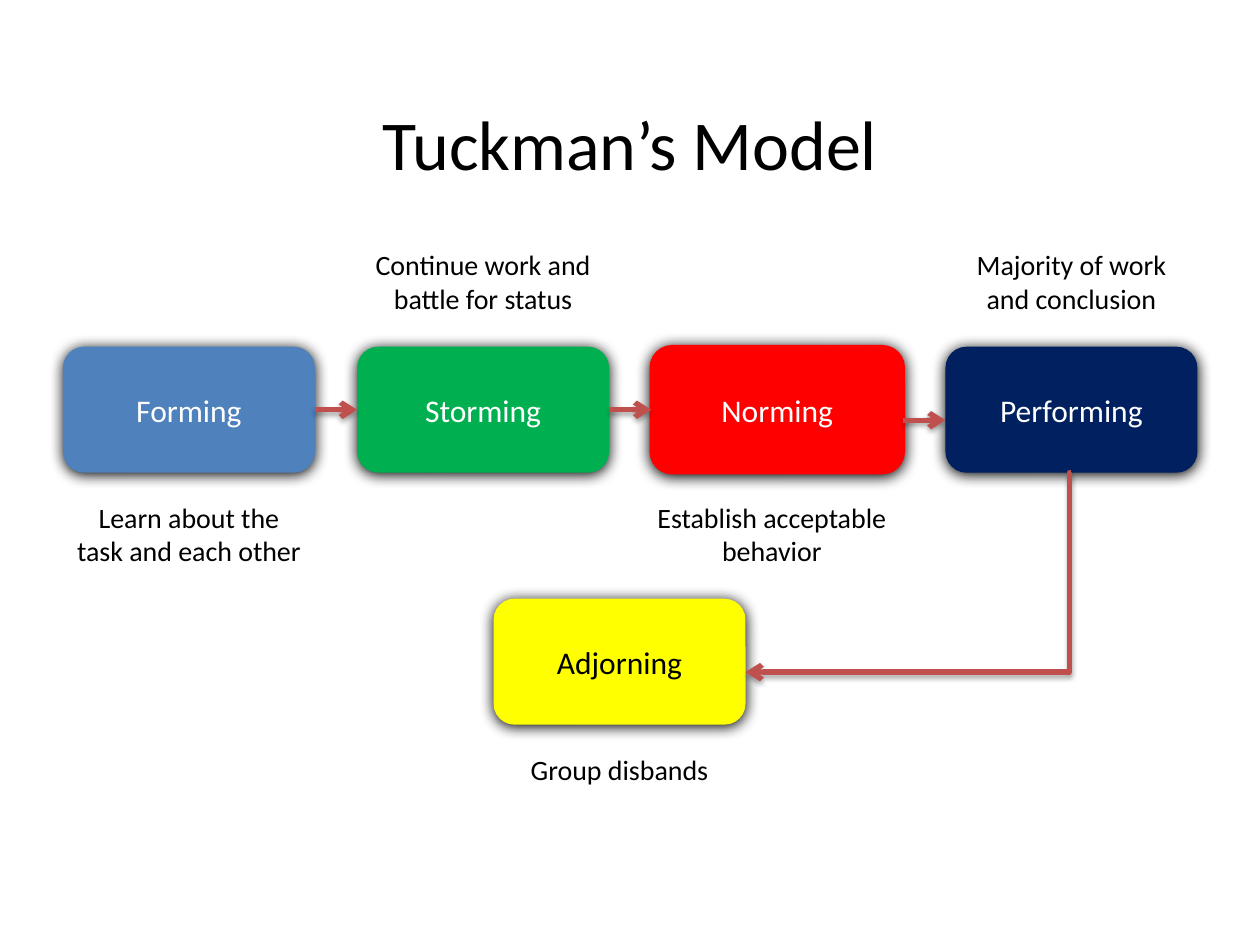
from dataclasses import dataclass

from lxml import etree
from pptx import Presentation
from pptx.dml.color import RGBColor as RGB
from pptx.enum.shapes import MSO_CONNECTOR as LINK, MSO_SHAPE as SHAPE
from pptx.enum.text import MSO_ANCHOR as ANCHOR, PP_ALIGN as ALIGN
from pptx.oxml.ns import qn
from pptx.util import Cm, Pt


@dataclass(frozen=True)
class Theme:
    font: str = "Calibri"
    title_size: int = 40
    stage_size: int = 18
    label_size: int = 16
    black: str = "000000"
    white: str = "FFFFFF"
    blue: str = "4F81BD"
    green: str = "00B050"
    red: str = "FF0000"
    navy: str = "002060"
    yellow: str = "FFFF00"
    arrow: str = "C0504D"
    arrow_width: int = 3


class Diagram:
    def __init__(self, slide, theme):
        self.shapes = slide.shapes
        self.theme = theme

    def add_text(self, tf, text, size, color):
        p = tf.paragraphs[0]
        p.alignment = ALIGN.CENTER
        r = p.add_run()
        r.text = text
        r.font.name = self.theme.font
        r.font.size = Pt(size)
        r.font.color.rgb = RGB.from_string(color)

    def shadow(self, effects, blur, distance, opacity):
        outer = etree.SubElement(
            effects, qn("a:outerShdw"), blurRad=str(Pt(blur)),
            dist=str(Pt(distance)), dir="5400000", rotWithShape="0")
        color = etree.SubElement(outer, qn("a:srgbClr"), val=self.theme.black)
        etree.SubElement(color, qn("a:alpha"), val=str(opacity * 1000))

    def label(self, text, x, y, w, h, size, wrap=True):
        sp = self.shapes.add_textbox(Cm(x), Cm(y), Cm(w), Cm(h))
        sp.text_frame.word_wrap = wrap
        self.add_text(sp.text_frame, text, size, self.theme.black)

    def stage(self, text, x, y, w, h, fill, color, outline=None):
        sp = self.shapes.add_shape(
            SHAPE.ROUNDED_RECTANGLE, Cm(x), Cm(y), Cm(w), Cm(h))
        sp.fill.solid()
        sp.fill.fore_color.rgb = RGB.from_string(fill)
        if outline:
            sp.line.color.rgb = RGB.from_string(outline)
            sp.line.width = Pt(2)
        else:
            sp.line.fill.background()
        sp.shadow.inherit = False
        self.shadow(sp.element.spPr.find(qn("a:effectLst")), 8.5, 1, 100)
        sp.text_frame.vertical_anchor = ANCHOR.MIDDLE
        self.add_text(sp.text_frame, text, self.theme.stage_size, color)

    def arrow(self, x1, y1, x2, y2, kind=LINK.STRAIGHT, bend=None):
        link = self.shapes.add_connector(kind, Cm(x1), Cm(y1), Cm(x2), Cm(y2))
        link.line.color.rgb = RGB.from_string(self.theme.arrow)
        link.line.width = Pt(self.theme.arrow_width)
        props = link.element.spPr
        etree.SubElement(props.find(qn("a:ln")), qn("a:tailEnd"), type="arrow")
        self.shadow(etree.SubElement(props, qn("a:effectLst")), 3.1, 1.8, 35)
        if bend is not None:
            guides = props.find(qn("a:prstGeom")).find(qn("a:avLst"))
            etree.SubElement(guides, qn("a:gd"), name="adj1", fmla=f"val {bend}")


theme = Theme()
prs = Presentation()
prs.slide_width, prs.slide_height = Cm(25.4), Cm(19.05)
diagram = Diagram(prs.slides.add_slide(prs.slide_layouts[6]), theme)

# Title
diagram.label("Tuckman’s Model", 7.4, 1.9, 10.6, 1.96, theme.title_size, wrap=False)

# Grid: four stages in a row, the fifth below
BOX_W, BOX_H = 5.08, 2.54
LEFT, ROW_Y, PITCH = 1.27, 6.99, 5.93
LAST_X, LAST_Y = 9.95, 12.07
ABOVE, BELOW = -2.12, 2.97
LABEL_H = 1.62
columns = [LEFT + i * PITCH for i in range(4)]

# Stages: name, x, y, fill, text colour, outline
stages = [
    ("Forming", columns[0], ROW_Y, theme.blue, theme.white, None),
    ("Storming", columns[1], ROW_Y, theme.green, theme.white, None),
    ("Norming", columns[2], ROW_Y, theme.red, theme.white, theme.red),
    ("Performing", columns[3], ROW_Y, theme.navy, theme.white, None),
    ("Adjorning", LAST_X, LAST_Y, theme.yellow, theme.black, None),
]
for name, x, y, fill, color, outline in stages:
    diagram.stage(name, x, y, BOX_W, BOX_H, fill, color, outline)

# Arrows from stage to stage
for x, y in zip(columns, (8.26, 8.26, 8.47)):
    diagram.arrow(x + BOX_W, y, x + PITCH, y)
diagram.arrow(columns[3] + BOX_W / 2, ROW_Y + BOX_H,
              LAST_X + BOX_W, 13.55, LINK.ELBOW, bend=700)

# Labels: text, x, y, width, height
labels = [
    ("Learn about the task and each other", columns[0], ROW_Y + BELOW, BOX_W, LABEL_H),
    ("Continue work and battle for status", columns[1], ROW_Y + ABOVE, BOX_W, LABEL_H),
    ("Establish acceptable behavior", 12.7, ROW_Y + BELOW, 5.72, LABEL_H),
    ("Majority of work and conclusion", columns[3], ROW_Y + ABOVE, BOX_W, LABEL_H),
    ("Group disbands", LAST_X, LAST_Y + BELOW, BOX_W, 0.94),
]
for label in labels:
    diagram.label(*label, theme.label_size)

prs.save("out.pptx")
